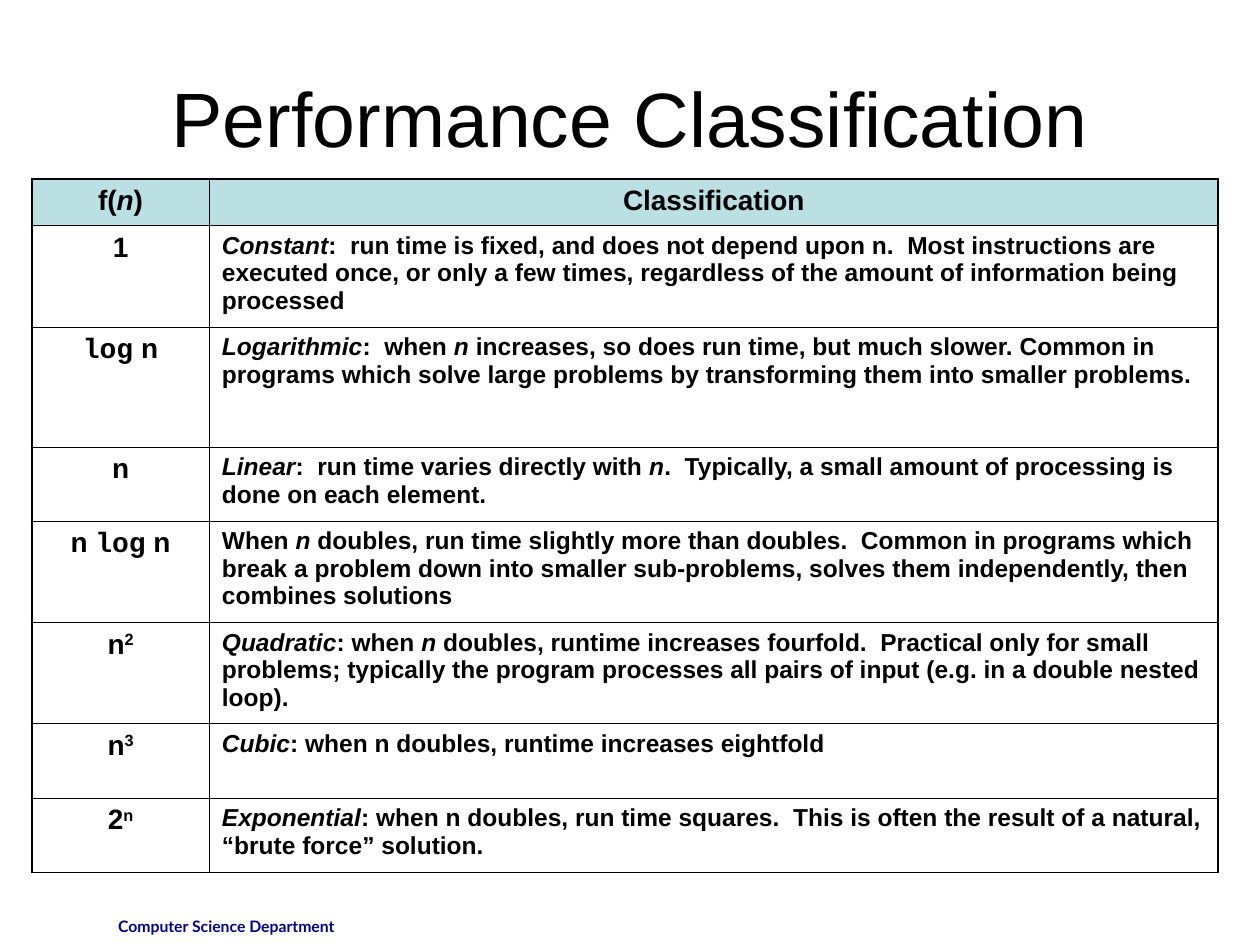
import lxml.etree
import pptx
import pptx.dml.color
import pptx.enum.text
import pptx.oxml.ns
import pptx.util
from dataclasses import dataclass

Cm = pptx.util.Cm
Pt = pptx.util.Pt
RGB = pptx.dml.color.RGBColor.from_string
Align = pptx.enum.text.PP_ALIGN
Anchor = pptx.enum.text.MSO_ANCHOR
qn = pptx.oxml.ns.qn


@dataclass(frozen=True)
class Theme:
    ink: str = "000000"
    head: str = "BBE0E3"
    foot: str = "000099"
    sans: str = "Arial"
    mono: str = "Courier New"
    brand: str = "Lato"
    big: float = 44
    mid: float = 16
    body: float = 14
    tiny: float = 9
    thin: float = 0.45
    thick: float = 1.08


class Deck:
    """Holds the theme and the current slide, and adds text and tables to it."""

    def __init__(self, theme, wide, high):
        self.theme = theme
        self.file = pptx.Presentation()
        self.file.slide_width, self.file.slide_height = Cm(wide), Cm(high)
        self.slide = self.file.slides.add_slide(self.file.slide_layouts[6])
        self.marks = {
            "*": {"italic": True},
            "`": {"name": theme.mono},
            "^": {},
        }

    def words(self, frame, text, size, align, tint=None, **form):
        para = frame.paragraphs[0]
        para.alignment = align
        for part in text.split("|"):
            mark = part[0] if part[0] in self.marks else ""
            run = para.add_run()
            run.text = part[len(mark):]
            base = {"name": self.theme.sans, "size": Pt(size)}
            for key, val in {**base, **form, **self.marks.get(mark, {})}.items():
                setattr(run.font, key, val)
            run.font.color.rgb = RGB(tint or self.theme.ink)
            if mark == "^":
                run._r.get_or_add_rPr().set("baseline", "30000")

    def text(self, box, text, size, align, **form):
        frame = self.slide.shapes.add_textbox(*map(Cm, box)).text_frame
        frame.word_wrap = True
        frame.vertical_anchor = Anchor.MIDDLE if size == self.theme.big else Anchor.TOP
        self.words(frame, text, size, align, **form)

    def edge(self, cell, side, width):
        line = lxml.etree.SubElement(cell._tc.get_or_add_tcPr(), qn("a:ln" + side), w=str(Pt(width)))
        fill = lxml.etree.SubElement(line, qn("a:solidFill"))
        lxml.etree.SubElement(fill, qn("a:srgbClr"), val=self.theme.ink)

    def table(self, left, top, cols, highs, rows):
        look = self.theme
        box = map(Cm, (left, top, sum(cols), sum(highs)))
        grid = self.slide.shapes.add_table(len(rows), len(cols), *box).table
        grid.first_row = grid.horz_banding = False
        for col, wide in zip(grid.columns, cols):
            col.width = Cm(wide)
        for row, high in zip(grid.rows, highs):
            row.height = Cm(high)
        for r, row in enumerate(rows):
            for c, text in enumerate(row):
                cell = grid.cell(r, c)
                outer = {"L": c == 0, "R": c == len(cols) - 1, "T": r == 0, "B": r == len(rows) - 1}
                for side, out in outer.items():
                    self.edge(cell, side, look.thick if out else look.thin)
                if r == 0:
                    cell.fill.solid()
                    cell.fill.fore_color.rgb = RGB(look.head)
                else:
                    cell.fill.background()
                mid = r == 0 or c == 0
                size, align = (look.mid, Align.CENTER) if mid else (look.body, Align.LEFT)
                self.words(cell.text_frame, text, size, align, bold=True)


ROWS = [
    ("f(|*n|)", "Classification"),
    ("1", "*Constant|:  run time is fixed, and does not depend upon n.  Most instructions are "
          "executed once, or only a few times, regardless of the amount of information being processed"),
    ("`log| n", "*Logarithmic|:  when |*n| increases, so does run time, but much slower. Common in "
                "programs which solve large problems by transforming them into smaller problems."),
    ("n", "*Linear|:  run time varies directly with|* n|.  Typically, a small amount of processing "
          "is done on each element."),
    ("n |`log| n", "When |*n| doubles, run time slightly more than doubles.  Common in programs which "
                   "break a problem down into smaller sub-problems, solves them independently, "
                   "then combines solutions"),
    ("n|^2", "*Quadratic|: when |*n |doubles, runtime increases fourfold.  Practical only for small "
             "problems; typically the program processes all pairs of input "
             "(e.g. in a double nested loop)."),
    ("n|^3", "*Cubic|: when n doubles, runtime increases eightfold"),
    ("2|^n", "*Exponential|: when n doubles, run time squares.  This is often the result of a "
             "natural, “brute force” solution."),
]


def main():
    look = Theme()
    deck = Deck(look, 25.4, 19.05)
    deck.text((1.07, 18.36, 5.92, 0.69), "Computer Science Department", look.tiny, Align.RIGHT,
              tint=look.foot, name=look.brand, bold=True)
    deck.text((1.27, 0.76, 22.86, 3.18), "Performance Classification", look.big, Align.CENTER)
    deck.table(0.64, 3.61, (3.58, 20.34), (0.94, 2.04, 2.42, 1.5, 2.04, 2.04, 1.5, 1.5), ROWS)
    deck.file.save("out.pptx")


if __name__ == "__main__":
    main()
